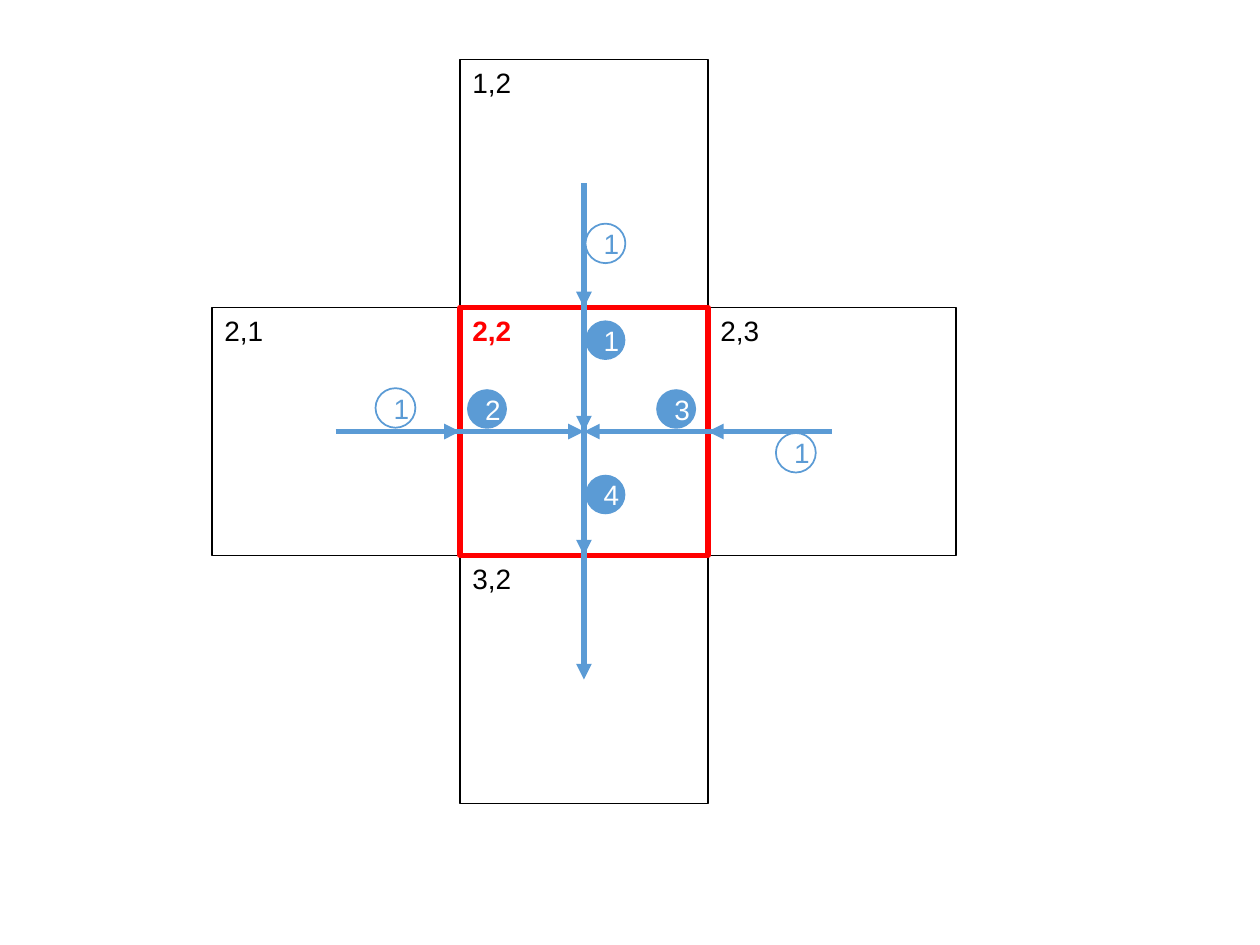
from lxml.etree import SubElement
from pptx import Presentation
from pptx.dml.color import RGBColor
from pptx.enum.shapes import MSO_CONNECTOR, MSO_SHAPE
from pptx.enum.text import MSO_ANCHOR, PP_ALIGN
from pptx.oxml.ns import qn
from pptx.util import Pt

BLACK, WHITE, RED, BLUE = "000000", "FFFFFF", "FF0000", "5B9BD5"
LEFT, TOP, CELL = 121.1, 34, 141.73
BADGE_WIDTH, BADGE_HEIGHT = 22.8, 22.6


def color(value):
    """Turn a hex string into a colour."""
    return RGBColor.from_string(value)


def grid_point(column, row):
    """Return the position in points of a place on the cell grid."""
    return LEFT + column * CELL, TOP + row * CELL


class Diagram:
    """Draws cells, arrows and badges on one slide."""

    font_name = "Arial"
    font_size = 16

    def __init__(self, slide):
        """Keep the slide and a group for the grid."""
        self.slide = slide
        self.grid = slide.shapes.add_group_shape()

    def shape(self, parent, kind, box, text, fill, line, ink):
        """Add a filled shape with one paragraph; line is (colour, width) or None."""
        shape = parent.shapes.add_shape(kind, *(Pt(length) for length in box))
        shape.shadow.inherit = False
        shape.fill.solid()
        shape.fill.fore_color.rgb = color(fill)
        if line:
            shape.line.color.rgb = color(line[0])
            shape.line.width = Pt(line[1])
        else:
            shape.line.fill.background()
        paragraph = shape.text_frame.paragraphs[0]
        paragraph.text = text
        paragraph.font.name = self.font_name
        paragraph.font.size = Pt(self.font_size)
        paragraph.font.color.rgb = color(ink)
        return shape

    def cell(self, row, column, ink=BLACK, width=1, bold=False):
        """Add a grid cell labelled with its row and column."""
        box = (*grid_point(column - 1, row - 1), CELL, CELL)
        shape = self.shape(self.grid, MSO_SHAPE.RECTANGLE, box,
                           f"{row},{column}", WHITE, (ink, width), ink)
        shape.text_frame.vertical_anchor = MSO_ANCHOR.TOP
        paragraph = shape.text_frame.paragraphs[0]
        paragraph.alignment = PP_ALIGN.LEFT
        paragraph.font.bold = bold

    def arrow(self, start, end):
        """Add an arrow between two grid places."""
        ends = [Pt(length) for length in (*grid_point(*start), *grid_point(*end))]
        connector = self.grid.shapes.add_connector(MSO_CONNECTOR.STRAIGHT, *ends)
        connector.line.color.rgb = color(BLUE)
        connector.line.width = Pt(3)
        SubElement(connector.line._get_or_add_ln(), qn("a:tailEnd"), type="triangle")
        SubElement(connector._element.spPr, qn("a:effectLst"))

    def badge(self, left, top, text, filled):
        """Add a numbered circle, filled or outlined."""
        fill, line, ink = (BLUE, None, WHITE) if filled else (WHITE, (BLUE, 1), BLUE)
        box = (left, top, BADGE_WIDTH, BADGE_HEIGHT)
        shape = self.shape(self.slide, MSO_SHAPE.OVAL, box, text, fill, line, ink)
        shape.text_frame.vertical_anchor = MSO_ANCHOR.MIDDLE
        shape.text_frame.paragraphs[0].alignment = PP_ALIGN.CENTER


presentation = Presentation()
presentation.slide_width, presentation.slide_height = Pt(720), Pt(540)
diagram = Diagram(presentation.slides.add_slide(presentation.slide_layouts[6]))

for row, column in [(1, 2), (2, 1), (3, 2), (2, 3)]:
    diagram.cell(row, column)
diagram.cell(2, 2, RED, 3, True)

north, west, center, east, south = (1.5, 0.5), (0.5, 1.5), (1.5, 1.5), (2.5, 1.5), (1.5, 2.5)
top_edge, left_edge, right_edge, bottom_edge = (1.5, 1), (1, 1.5), (2, 1.5), (1.5, 2)
for start, end in [
    (north, top_edge), (top_edge, center), (north, bottom_edge),
    (east, center), (east, right_edge),
    (west, center), (west, left_edge), (north, south),
]:
    diagram.arrow(start, end)

for left, top, text, filled in [
    (334.6, 183.1, "1", True),
    (266.9, 222.4, "2", True),
    (375, 222.4, "3", True),
    (334.6, 271.3, "4", True),
    (334.6, 127.8, "1", False),
    (214.6, 221.8, "1", False),
    (443.4, 247.4, "1", False),
]:
    diagram.badge(left, top, text, filled)

presentation.save("out.pptx")
